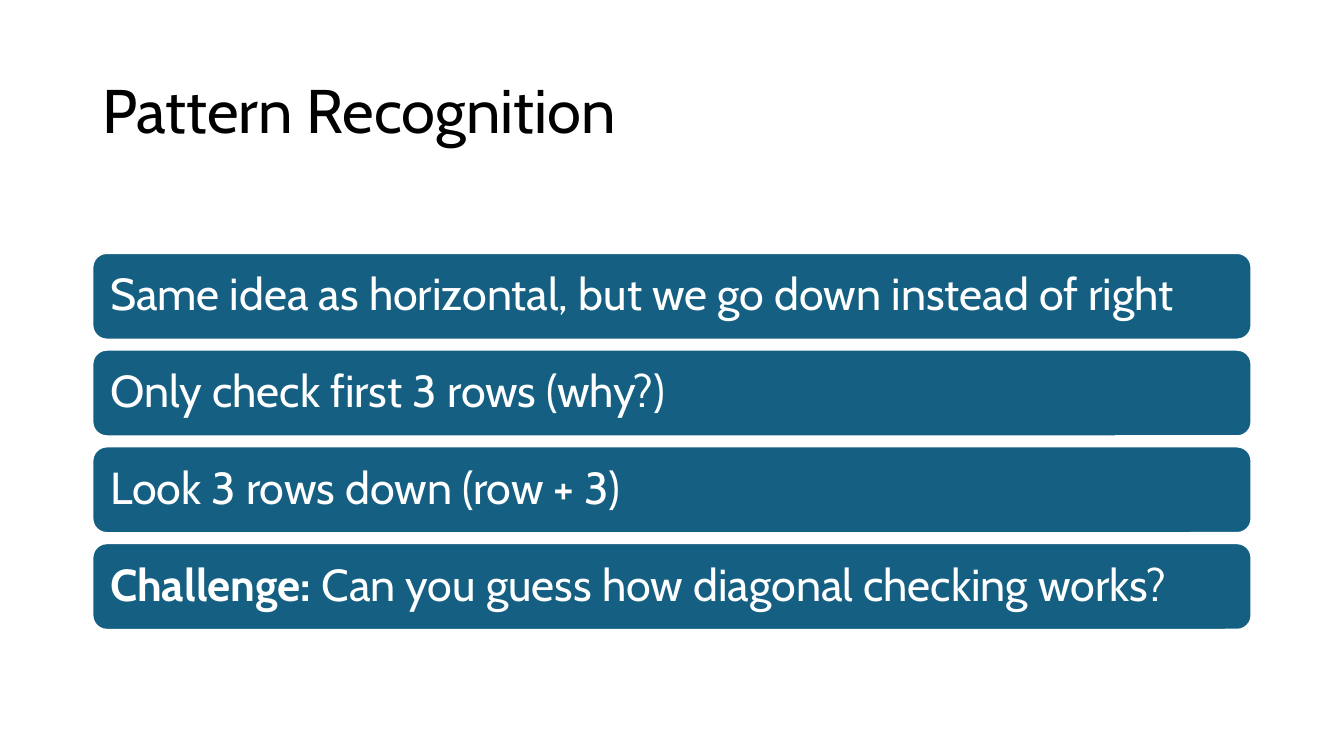
from pptx import Presentation
from pptx.dml.color import RGBColor
from pptx.enum import shapes, text
from pptx.util import Pt

BLACK = RGBColor(0x00, 0x00, 0x00)
WHITE = RGBColor(0xFF, 0xFF, 0xFF)
BLUE = RGBColor(0x15, 0x60, 0x82)

FONT = "Cabin"
LEFT, WIDTH = 66, 828
TOP, HEIGHT, STEP = 180.7, 61.9, 69.1

# Each bar holds (bold lead, plain text)
BARS = [
    ("", "Same idea as horizontal, but we go down instead of right"),
    ("", "Only check first 3 rows (why?)"),
    ("", "Look 3 rows down (row + 3)"),
    ("Challenge:", " Can you guess how diagonal checking works?"),
]


def write(frame, words, lead="", size=32, color=WHITE, inset=9.6):
    """Fill a text frame with one left-aligned line, with an optional bold lead."""
    frame.word_wrap = True
    frame.auto_size = text.MSO_AUTO_SIZE.NONE
    frame.vertical_anchor = text.MSO_ANCHOR.MIDDLE
    frame.margin_left = frame.margin_right = Pt(inset)
    para = frame.paragraphs[0]
    para.alignment = text.PP_ALIGN.LEFT
    para.line_spacing = 0.9
    for part, bold in ((lead, True), (words, False)):
        if part:
            run = para.add_run()
            run.text = part
            run.font.name = FONT
            run.font.size = Pt(size)
            run.font.bold = bold
            run.font.color.rgb = color


def add_title(slide, words):
    title = slide.shapes.title
    title.left, title.top = Pt(LEFT), Pt(28.8)
    title.width, title.height = Pt(WIDTH), Pt(104.4)
    write(title.text_frame, words, size=44, color=BLACK, inset=7.2)


def add_bar(slide, top, lead, words):
    bar = slide.shapes.add_shape(
        shapes.MSO_SHAPE.ROUNDED_RECTANGLE,
        Pt(LEFT), Pt(top), Pt(WIDTH), Pt(HEIGHT))
    bar.shadow.inherit = False
    bar.fill.solid()
    bar.fill.fore_color.rgb = BLUE
    bar.line.color.rgb = WHITE
    bar.line.width = Pt(1.5)
    write(bar.text_frame, words, lead=lead)


def main():
    deck = Presentation()
    deck.slide_width, deck.slide_height = Pt(960), Pt(540)
    slide = deck.slides.add_slide(deck.slide_layouts.get_by_name("Title Only"))

    # Title
    add_title(slide, "Pattern Recognition")

    # Stack of bars
    for row, (lead, words) in enumerate(BARS):
        add_bar(slide, TOP + row * STEP, lead, words)

    deck.save("out.pptx")


if __name__ == "__main__":
    main()
